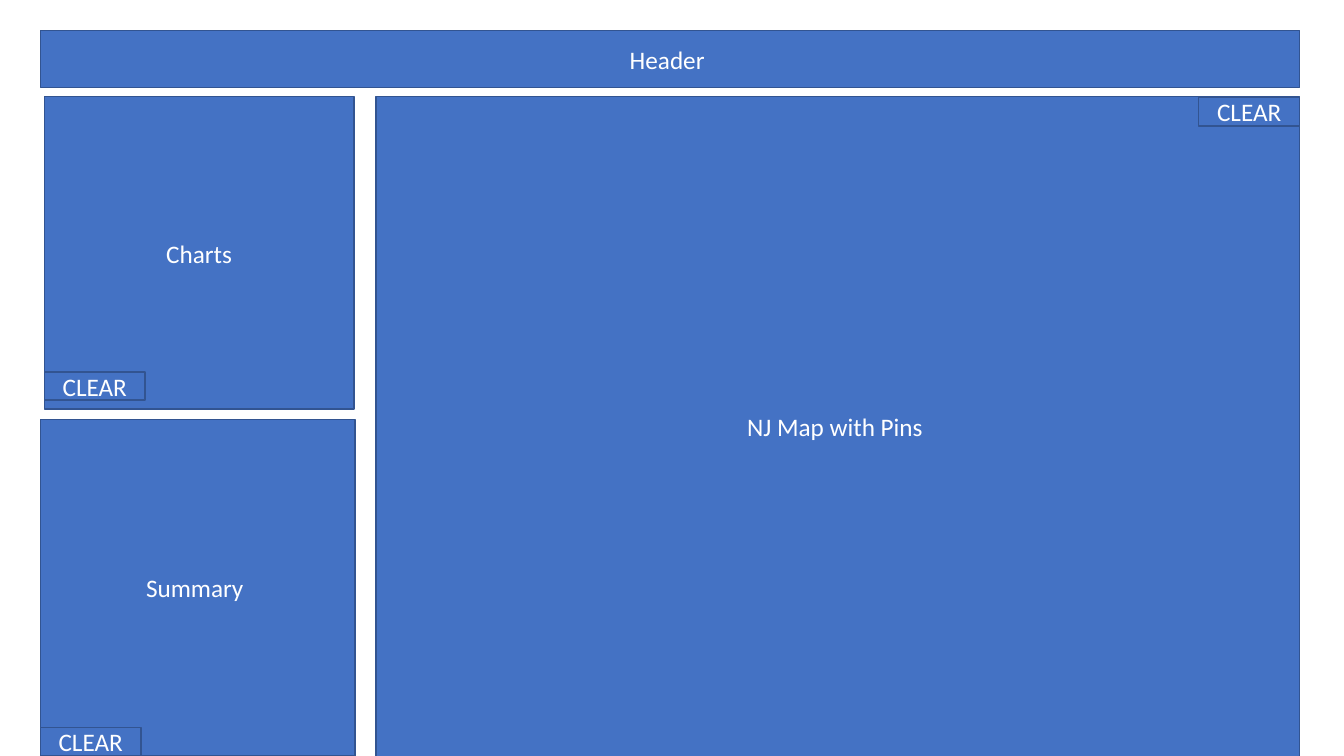
from pptx import Presentation
from pptx.dml.color import RGBColor
from pptx.enum.shapes import MSO_SHAPE
from pptx.enum.text import MSO_ANCHOR, PP_ALIGN
from pptx.util import Inches, Pt

FILL, OUTLINE, TEXT = "4472C4", "325491", "FFFFFF"
BUTTON_SIZE = (1, 0.28)

# label, left, top, width, height
PANELS = [
    ("Header ", 0.4, 0.3, 12.49, 0.57),
    ("NJ Map with Pins ", 3.73, 0.96, 9.16, 6.55),
    ("Charts", 0.44, 0.96, 3.07, 3.1),
    ("Summary ", 0.4, 4.16, 3.12, 3.34),
]
# left and top of the button on the charts, map and summary panels
CLEAR_BUTTONS = [(0.44, 3.69), (11.89, 0.97), (0.4, 7.22)]


def color(hex_value):
    """Turn a hex string into a colour."""
    return RGBColor.from_string(hex_value)


def apply_format(target, values):
    """Set each named attribute of the target."""
    for name, value in values.items():
        setattr(target, name, value)


def add_box(slide, label, left, top, width, height):
    """Add an outlined rectangle with a centred label."""
    bounds = [Inches(length) for length in (left, top, width, height)]
    shape = slide.shapes.add_shape(MSO_SHAPE.RECTANGLE, *bounds)
    shape.shadow.inherit = False
    shape.fill.solid()
    shape.fill.fore_color.rgb = color(FILL)
    shape.line.color.rgb = color(OUTLINE)
    shape.line.width = Pt(1)
    frame = shape.text_frame
    apply_format(frame, {"word_wrap": True, "vertical_anchor": MSO_ANCHOR.MIDDLE})
    paragraph = frame.paragraphs[0]
    paragraph.alignment = PP_ALIGN.CENTER
    run = paragraph.add_run()
    run.text = label
    apply_format(run.font, {"name": "Calibri", "size": Pt(18)})
    run.font.color.rgb = color(TEXT)


def add_clear_button(slide, left, top):
    """Add a small CLEAR button."""
    add_box(slide, "CLEAR", left, top, *BUTTON_SIZE)


def main():
    """Build the dashboard wireframe and save it."""
    presentation = Presentation()
    apply_format(presentation, {"slide_width": Inches(13.33),
                                "slide_height": Inches(7.5)})
    slide = presentation.slides.add_slide(presentation.slide_layouts[6])
    for panel in PANELS:
        add_box(slide, *panel)
    for position in CLEAR_BUTTONS:
        add_clear_button(slide, *position)
    presentation.save("out.pptx")


main()
